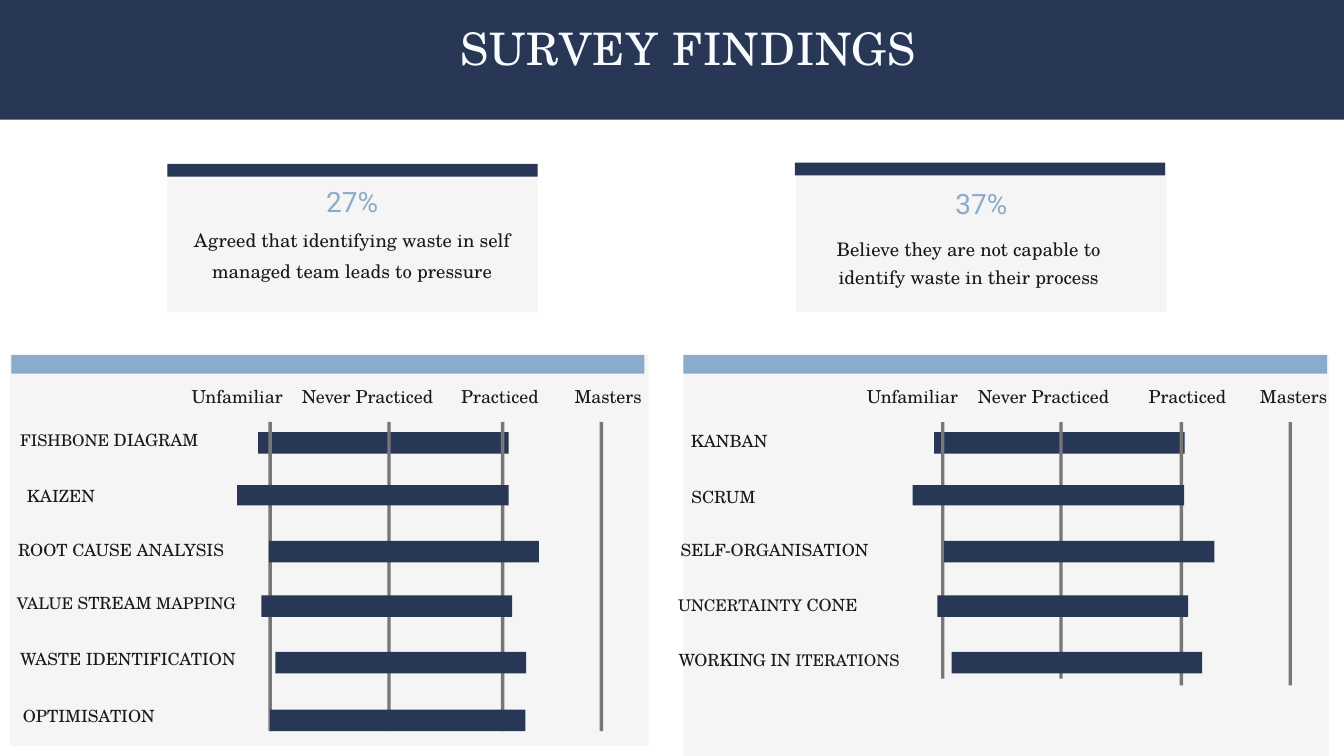
"""Build the survey findings slide: two headline figures above two practice charts."""
from pptx import Presentation, util as u
from pptx.dml.color import RGBColor
from pptx.enum import shapes, text
from pptx.oxml.ns import qn
from lxml import etree

NAVY = RGBColor(0x27, 0x37, 0x55)
BLUE = RGBColor(0x8A, 0xAB, 0xCA)
GREY = RGBColor(0x77, 0x77, 0x77)
INK = RGBColor(0x19, 0x19, 0x19)
PALE = RGBColor(0xF9, 0xFC, 0xFF)
SERIF, SANS = "TeX Gyre Schola", "Roboto"
CENTER, LEFT = text.PP_ALIGN.CENTER, text.PP_ALIGN.LEFT

TITLE = "SURVEY FINDINGS"
CARDS = [
    {"panel": (2.49, 2.44), "strip": (2.49, 2.44),
     "figure": "27%", "figure_box": (2.75, 2.74, 4.98, 0.52),
     "claim": "Agreed that identifying waste in self managed team leads to pressure",
     "claim_box": (2.75, 3.27, 4.98, 0.89), "spacing": 33.4},
    {"panel": (11.85, 2.43), "strip": (11.83, 2.42),
     "figure": "37%", "figure_box": (12.38, 2.78, 4.45, 0.52),
     "claim": "Believe they are not capable to identify waste in their process",
     "claim_box": (12.18, 3.45, 4.47, 0.82), "spacing": 30.1},
]
LEVELS = [("Unfamiliar", 1.6), ("Never Practiced", 2.1), ("Practiced", 1.4), ("Masters", 1.4)]
ROW_TOPS = [6.43, 7.22, 8.05, 8.86, 9.7, 10.56]
LINE_TOP, LINE_WIDTH = 6.28, 0.05
CHARTS = [
    {"panel": (0.15, 5.28, 9.5, 5.82), "strip": (0.17, 5.28, 9.42, 0.28),
     "level_centres": [3.53, 5.47, 7.44, 9.05],
     "lines": [(4.02, 4.6), (5.79, 4.6), (7.48, 4.6), (8.95, 4.6)],
     "rows": [
         ([("FISHBONE ", 17.2), ("DIAGRAM", 18)], (0.3, 6.4), (3.84, 3.73)),
         ([("KAIZEN", 18)], (0.4, 7.24), (3.53, 4.04)),
         ([("ROOT CAUSE ANALYSIS", 18)], (0.27, 8.05), (4, 4.02)),
         ([("VALUE ", 17.2), ("STREAM", 18), (" MAPPING", 17.2)], (0.25, 8.84), (3.89, 3.73)),
         ([("WASTE IDENTIFICATION", 18)], (0.3, 9.67), (4.1, 3.73)),
         ([("OPTIMISATION", 18)], (0.34, 10.52), (4.02, 3.8))]},
    {"panel": (10.17, 5.28, 9.61, 5.97), "strip": (10.17, 5.28, 9.58, 0.28),
     "level_centres": [13.58, 15.53, 17.67, 19.25],
     "lines": [(14.03, 3.82), (15.79, 3.82), (17.58, 3.92), (19.2, 3.92)],
     "rows": [
         ([("KANBAN", 18)], (10.28, 6.42), (13.9, 3.73)),
         ([("SCRUM", 18)], (10.29, 7.25), (13.58, 4.04)),
         ([("SELF-ORGANISATION", 18)], (10.13, 8.05), (14.05, 4.02)),
         ([("UNCERTAINTY ", 17.2), ("CONE", 18)], (10.09, 8.87), (13.95, 3.73)),
         ([("WORKING", 18), (" ", 17.2), ("IN", 18), (" ITERATIONS", 17.2)],
          (10.1, 9.68), (14.16, 3.73))]},
]


def add_rect(s, box, color, opacity=None):
    sp = s.shapes.add_shape(shapes.MSO_SHAPE.RECTANGLE, *map(u.Inches, box))
    sp.shadow.inherit = False
    sp.line.fill.background()
    sp.fill.solid()
    sp.fill.fore_color.rgb = color
    if opacity:
        clr = sp.fill._xPr.find(qn("a:solidFill"))[0]
        etree.SubElement(clr, qn("a:alpha")).set("val", str(opacity * 1000))


def fill_text(sp, pieces, spacing, color=INK, font=SERIF, align=CENTER):
    tf = sp.text_frame
    tf.word_wrap = True
    tf.auto_size = text.MSO_AUTO_SIZE.NONE
    tf.vertical_anchor = text.MSO_ANCHOR.TOP
    tf.margin_left = tf.margin_right = tf.margin_top = tf.margin_bottom = 0
    p = tf.paragraphs[0]
    p.alignment = align
    p.line_spacing = u.Pt(spacing)
    p.font.name = font
    p.font.color.rgb = color
    p.font.size = u.Pt(pieces[0][1])
    for words, size in pieces:
        r = p.add_run()
        r.text = words
        if len(pieces) > 1:
            r.font.size = u.Pt(size)
    return p


def add_text(s, box, pieces, spacing, **style):
    fill_text(s.shapes.add_textbox(*map(u.Inches, box)), pieces, spacing, **style)


def add_chart_panel(s, chart):
    add_rect(s, chart["panel"], INK, opacity=4)
    add_rect(s, chart["strip"], BLUE)
    bars = []
    for i, (_, _, (left, width)) in enumerate(chart["rows"]):
        bars.append((left, ROW_TOPS[i], width, 0.3 if i == 1 else 0.32))
    add_rect(s, bars[0], NAVY)
    for x, height in chart["lines"]:
        add_rect(s, (x - LINE_WIDTH / 2, LINE_TOP, LINE_WIDTH, height), GREY)
    for bar in bars[1:]:
        add_rect(s, bar, NAVY)
    for (level, width), x in zip(LEVELS, chart["level_centres"]):
        add_text(s, (x - width / 2, 5.62, width, 0.41), [(level, 19.2)], 32)
    for pieces, (left, top), _ in chart["rows"]:
        add_text(s, (left, top, 3.45, 0.3), pieces, 20.7, align=LEFT)


def add_card(s, card):
    add_rect(s, (*card["panel"], 5.51, 2.21), INK, opacity=4)
    add_rect(s, (*card["strip"], 5.51, 0.19), NAVY)
    add_text(s, card["claim_box"], [(card["claim"], 20)], card["spacing"])
    add_text(s, card["figure_box"], [(card["figure"], 30)], 36, color=BLUE, font=SANS)


def add_title(s):
    add_rect(s, (0, 0, 20, 1.78), NAVY)
    sp = s.shapes.title
    sp.left, sp.top, sp.width, sp.height = map(u.Inches, (5.07, 0.24, 10.35, 0.85))
    p = fill_text(sp, [(TITLE, 48)], 62.4, color=PALE)
    p.runs[0]._r.get_or_add_rPr().set("spc", "120")
    s.shapes._spTree.append(sp._element)


def main():
    prs = Presentation()
    prs.slide_width, prs.slide_height = u.Inches(20), u.Inches(11.25)
    s = prs.slides.add_slide(prs.slide_layouts[5])
    for chart in CHARTS:
        add_chart_panel(s, chart)
    for card in CARDS:
        add_card(s, card)
    add_title(s)
    prs.save("out.pptx")


if __name__ == "__main__":
    main()
